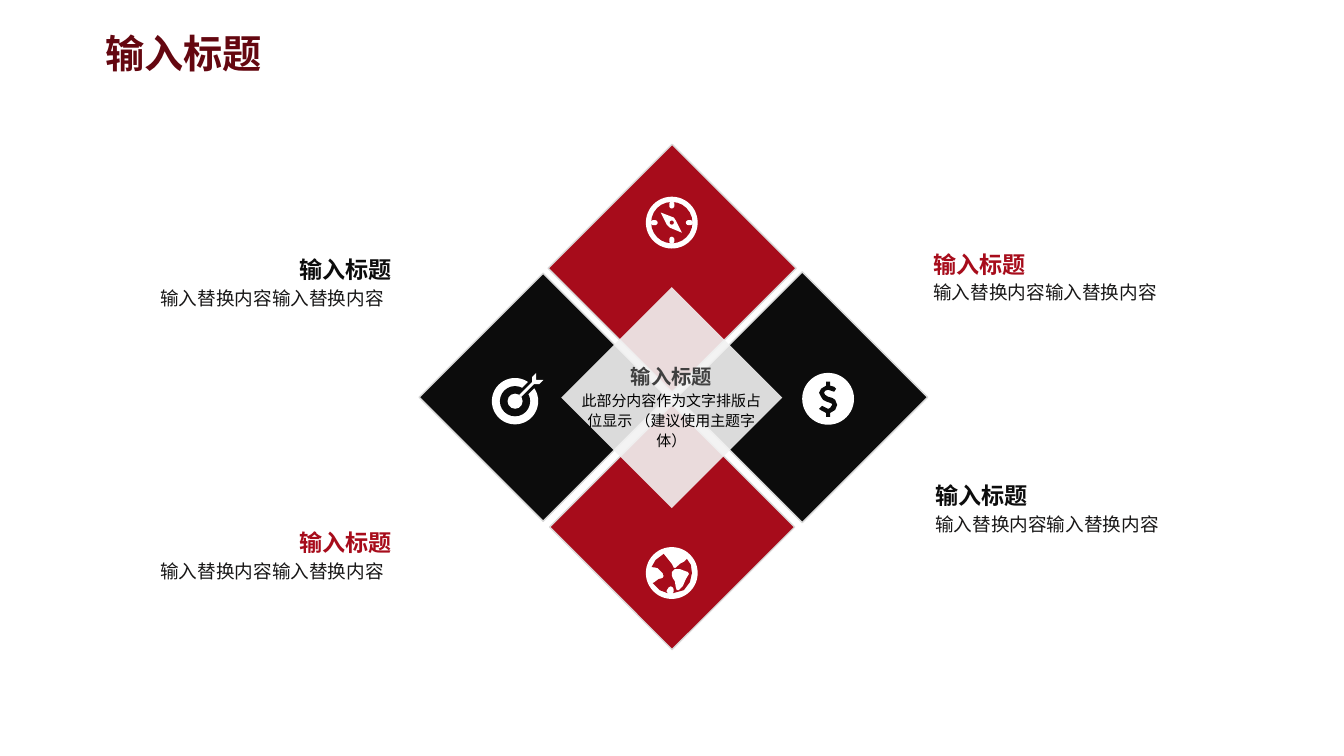
from dataclasses import dataclass

from lxml.etree import SubElement
from pptx import Presentation
from pptx.dml.color import RGBColor
from pptx.enum.shapes import MSO_SHAPE
from pptx.enum.text import MSO_ANCHOR, MSO_AUTO_SIZE, PP_ALIGN
from pptx.oxml.ns import qn
from pptx.util import Cm, Pt


@dataclass(frozen=True)
class Theme:
    font: str = "Noto Sans CJK SC"
    maroon: str = "640710"
    red: str = "A70C1B"
    black: str = "0C0C0C"
    body: str = "181717"
    gray: str = "404040"
    plain: str = "000000"
    pale: str = "F2F2F2"
    border: str = "D9D9D9"
    white: str = "FFFFFF"
    title_size: float = 28
    heading_size: float = 16.5
    body_size: float = 13.3
    center_heading_size: float = 14.5
    center_body_size: float = 10.7


theme = Theme()


def write(shape, text, size, color, bold=False, align=PP_ALIGN.LEFT, spacing=None, margins=(0, 0, 0, 0)):
    frame = shape.text_frame
    frame.word_wrap = True
    frame.vertical_anchor = MSO_ANCHOR.TOP
    frame.margin_left, frame.margin_top, frame.margin_right, frame.margin_bottom = map(Cm, margins)
    paragraph = frame.paragraphs[0]
    paragraph.alignment = align
    if spacing:
        paragraph.line_spacing = spacing
    run = paragraph.add_run()
    run.text = text
    run.font.size = Pt(size)
    run.font.bold = bold
    run.font.color.rgb = RGBColor.from_string(color)
    run.font.name = theme.font
    SubElement(run.font._element, qn("a:ea"), typeface=theme.font)


def paint(shape, fill, border=None):
    shape.shadow.inherit = False
    shape.fill.solid()
    shape.fill.fore_color.rgb = RGBColor.from_string(fill)
    if border:
        shape.line.color.rgb = RGBColor.from_string(border)
        shape.line.width = Pt(1)
    else:
        shape.line.fill.background()


presentation = Presentation()
presentation.slide_width, presentation.slide_height = Cm(33.87), Cm(19.05)
slide = presentation.slides.add_slide(presentation.slide_layouts[5])
shapes = slide.shapes

# Title
title = shapes.title
title.left, title.top, title.width, title.height = Cm(2.41), Cm(0.61), Cm(5.69), Cm(1.45)
write(title, "输入标题", theme.title_size, theme.maroon, True, PP_ALIGN.JUSTIFY,
      margins=(0.25, 0.13, 0.25, 0.13))
title.text_frame.auto_size = MSO_AUTO_SIZE.SHAPE_TO_FIT_TEXT

# Callouts on both sides
callouts = [
    (23.52, 6.3, theme.red, PP_ALIGN.LEFT),
    (23.57, 12.14, theme.black, PP_ALIGN.LEFT),
    (4.04, 13.31, theme.red, PP_ALIGN.RIGHT),
    (4.04, 6.43, theme.black, PP_ALIGN.RIGHT),
]
for left, top, color, align in callouts:
    heading = shapes.add_textbox(Cm(left), Cm(top), Cm(5.97), Cm(0.61))
    right_margin = 0.15 if align == PP_ALIGN.RIGHT else 0
    write(heading, "输入标题", theme.heading_size, color, True, align, margins=(0, 0, right_margin, 0))
    description = shapes.add_textbox(Cm(left), Cm(top + 0.62), Cm(5.97), Cm(1.27))
    write(description, "输入替换内容输入替换内容", theme.body_size, theme.body, spacing=1.3)

# Diamonds: centre, side, fill, border; the pale one comes last
diamonds = [
    (16.94, 6.76, 4.42, theme.red, theme.border),
    (16.94, 13.28, 4.37, theme.red, theme.border),
    (13.69, 10.01, 4.42, theme.black, theme.border),
    (20.22, 10.01, 4.47, theme.black, theme.border),
    (16.93, 10.02, 3.94, theme.pale, None),
]
for center_x, center_y, side, fill, border in diamonds:
    diamond = shapes.add_shape(MSO_SHAPE.RECTANGLE, Cm(center_x - side / 2), Cm(center_y - side / 2),
                               Cm(side), Cm(side))
    diamond.rotation = 315
    paint(diamond, fill, border)
fill_color = diamond.fill._xPr.find(qn("a:solidFill"))[0]
SubElement(fill_color, qn("a:alpha"), val="90000")

# Icons: parts are discs (a radius), bars (left, top, width, height) or outlines
# (a list of points), measured in hundredths of an inch from the icon centre
dollar_sign = [
    (7, 11), (2, 14), (2, 18), (-2, 18), (-2, 14), (-6, 12), (-9, 10), (-6, 7), (-2, 9), (0, 10),
    (2, 9), (4, 6), (4, 5), (2, 4), (-1, 3), (-5, 1), (-7, -2), (-9, -6), (-7, -10), (-2, -13),
    (-2, -17), (2, -17), (2, -13), (6, -12), (8, -10), (6, -7), (3, -8), (0, -9), (-3, -8),
    (-4, -6), (-3, -4), (0, -2), (4, -1), (7, 1), (9, 6),
]
ocean = [
    (1, 20), (2, 19), (2, 16), (1, 14), (-1, 13), (-3, 14), (-5, 17), (-5, 19), (-4, 20), (-12, 17),
    (-19, 10), (-17, 9), (-13, 6), (-9, 5), (-8, 3), (-9, 0), (-14, -5), (-20, -6), (-16, -13),
    (-8, -19), (-4, -14), (0, -9), (2, -5), (4, -5), (6, -7), (8, -9), (12, -11), (15, -14),
    (19, -8), (20, 0), (18, 9), (12, 17),
]
continent = [
    (13, -2), (8, -4), (3, -4), (0, -1), (0, 2), (1, 5), (3, 8), (4, 14), (5, 17), (7, 17),
    (11, 13), (14, 6), (17, 1), (16, -1),
]
arrow = [(21, -21), (21, -28), (17, -24), (17, -19), (4, -6), (6, -4), (19, -17), (24, -17), (28, -21)]
arrow_gap = [(7, -13), (16, -22), (22, -16), (13, -7)]
needle = [(-11, -10), (2, -5), (4, -2), (10, 10), (-2, 5), (-5, 2)]
ticks = [(-2.5, -21, 5, 7), (-2.5, 14, 5, 7), (-21, -2.5, 7, 5), (14, -2.5, 7, 5)]
icons = [
    (12.98, 10.11, [(23, theme.white), (15, theme.black), (7.5, theme.white),
                    (arrow_gap, theme.black), (arrow, theme.white)]),
    (20.87, 10.05, [(25.7, theme.white), (dollar_sign, theme.black)]),
    (16.93, 5.61, [(25.7, theme.white), (20.5, theme.red), *((tick, theme.white) for tick in ticks),
                   (needle, theme.white), (2, theme.red)]),
    (16.93, 14.44, [(25.7, theme.white), (ocean, theme.red), (continent, theme.white)]),
]
unit = Cm(2.54) / 100
for center_x, center_y, parts in icons:
    origin_x, origin_y = Cm(center_x), Cm(center_y)
    for geometry, color in parts:
        if isinstance(geometry, list):
            builder = shapes.build_freeform(*geometry[0], scale=unit)
            builder.add_line_segments(geometry[1:], close=True)
            part = builder.convert_to_shape(origin_x, origin_y)
        else:
            if isinstance(geometry, tuple):
                kind, (x, y, width, height) = MSO_SHAPE.ROUNDED_RECTANGLE, geometry
            else:
                kind, x, y, width, height = MSO_SHAPE.OVAL, -geometry, -geometry, 2 * geometry, 2 * geometry
            part = shapes.add_shape(kind, int(origin_x + x * unit), int(origin_y + y * unit),
                                    int(width * unit), int(height * unit))
            if kind == MSO_SHAPE.ROUNDED_RECTANGLE:
                part.adjustments[0] = 0.5
        paint(part, color)

# Centre text
center_heading = shapes.add_textbox(Cm(15.42), Cm(9.17), Cm(3), Cm(0.53))
write(center_heading, "输入标题", theme.center_heading_size, theme.gray, True, PP_ALIGN.CENTER)
center_body = shapes.add_textbox(Cm(14.33), Cm(9.7), Cm(5.18), Cm(1.27))
write(center_body, "此部分内容作为文字排版占位显示 （建议使用主题字体）", theme.center_body_size, theme.plain,
      align=PP_ALIGN.CENTER, spacing=1.1, margins=(0.25, 0.13, 0.25, 0.13))

presentation.save("out.pptx")
